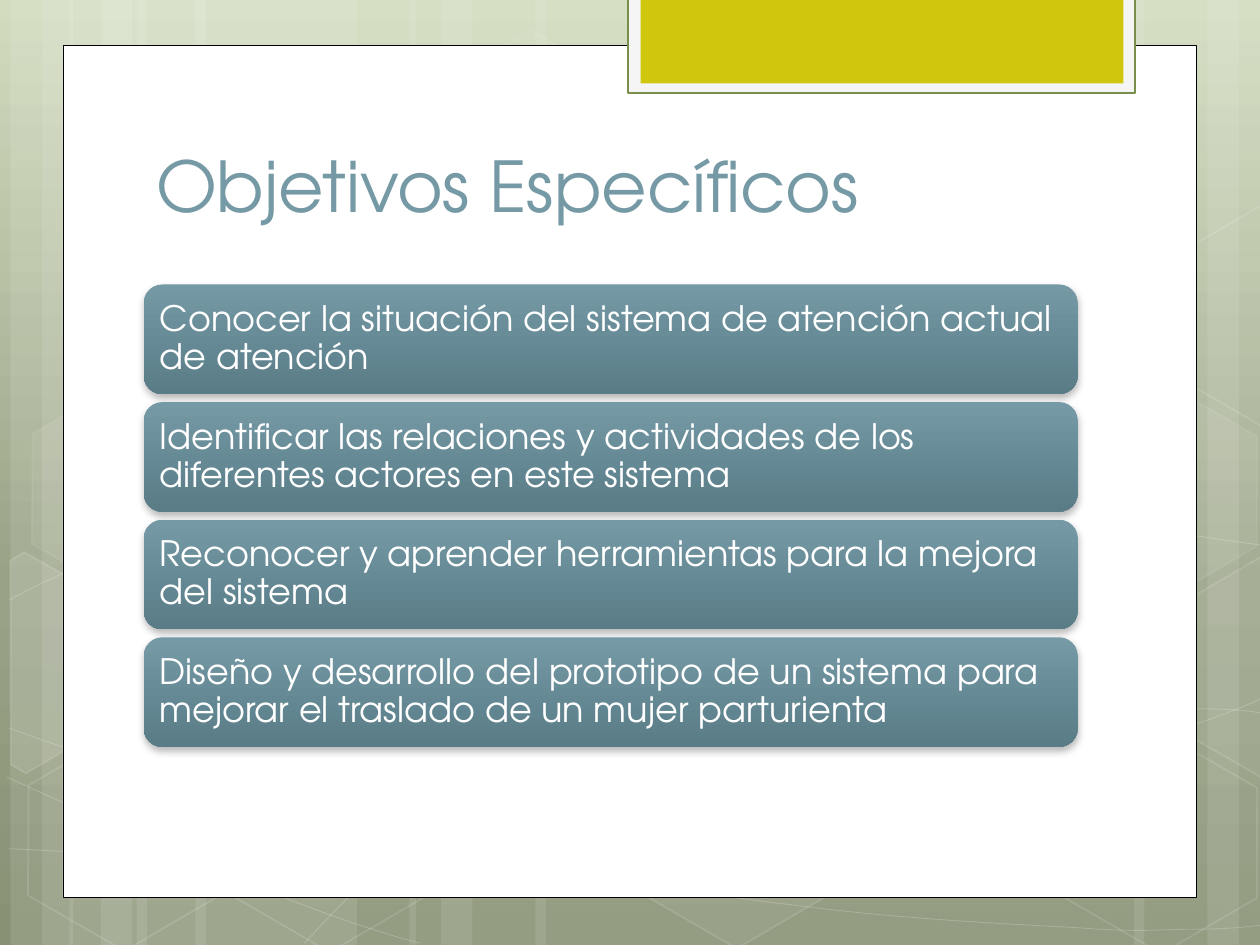
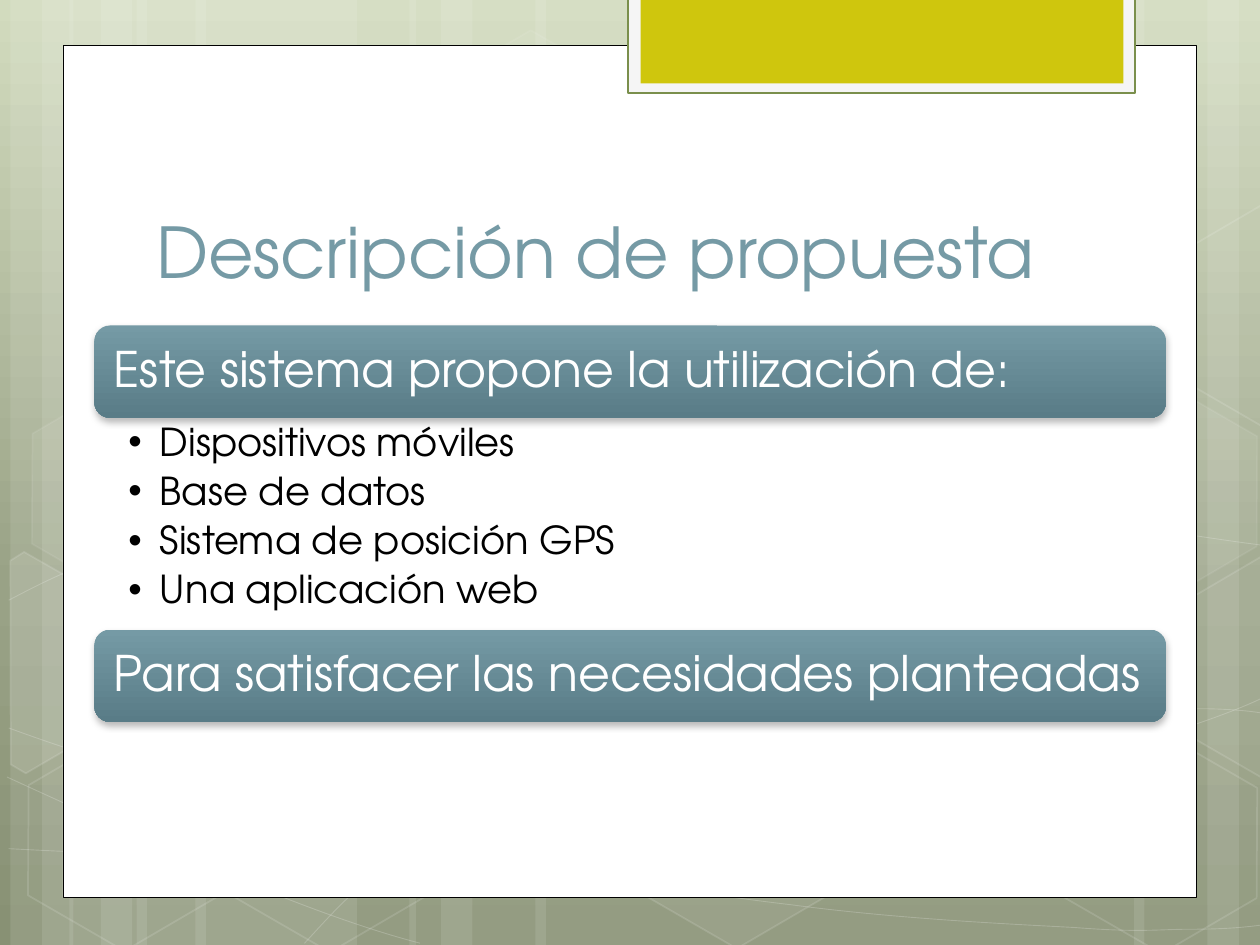
"""Build two slides on objectives and proposal over a shared green backdrop."""
from copy import deepcopy
from math import cos, radians, sin
from typing import NamedTuple

from lxml.etree import SubElement
from pptx import Presentation
from pptx.dml.color import RGBColor as Rgb
from pptx.enum.shapes import MSO_SHAPE as Kind
from pptx.enum.text import MSO_ANCHOR as Anchor
from pptx.enum.text import MSO_AUTO_SIZE as Fit
from pptx.enum.text import PP_ALIGN as Align
from pptx.oxml.ns import qn
from pptx.util import Pt

FONT = "TeX Gyre Adventor"
TILT = 30
HUES = {
    "white": "FFFFFF", "black": "000000", "teal": "759AA5", "deep": "597C87",
    "pale": "D2DBBE", "sage": "99A286", "moss": "889174",
    "frame": "F5F5F5", "edge": "7A8F4C", "lime": "CFC60D",
}


class Box(NamedTuple):
    left: float
    top: float
    width: float
    height: float


class Look(NamedTuple):
    fill: str = ""
    line: str = ""
    weight: float = 1
    fill_alpha: int = 100
    line_alpha: int = 100


class Hex(NamedTuple):
    left: float
    top: float
    fill: int
    line: int


class Cut(NamedTuple):
    box: Box
    points: list
    fill: int


class Bar(NamedTuple):
    box: Box
    text: str
    size: float


class Panel(NamedTuple):
    box: Box
    look: Look


BANDS = [
    (78, 126), (6, 36), (24, 60), (111.6, 126), (39.6, 36), (57.6, 60),
    (528, 126), (690, 36), (648, 60), (306, 222), (234, 36), (252, 60),
]
CURVES = [
    [(5, 485), (44, 487), (83, 489), (137, 488), (191, 487), (258, 486), (330, 479),
     (402, 472), (504, 458), (570, 444), (636, 431), (703, 409), (725, 397)],
    [(5, 343), (26, 332), (47, 321), (87, 310), (128, 300), (186, 284), (250, 279),
     (314, 274), (392, 273), (471, 279), (550, 284), (682, 307), (725, 312)],
    [(4, 444), (91, 484), (178, 523), (240, 539)],
    [(5, 416), (27, 424), (50, 432), (92, 444), (134, 454), (197, 472), (257, 485),
     (317, 497), (392, 510), (452, 517), (512, 525), (576, 528), (614, 530),
     (652, 533), (662, 531), (680, 531), (699, 531), (712, 530), (725, 528)],
    [(174, 539), (187, 525), (200, 510), (217, 498), (235, 485), (259, 470), (279, 460),
     (300, 450), (312, 446), (338, 438), (364, 431), (413, 421), (438, 416),
     (464, 411), (467, 411), (490, 410), (511, 408), (547, 405), (572, 405),
     (597, 404), (638, 405), (638, 405), (654, 405), (670, 405), (686, 405),
     (699, 405), (711, 406), (718, 407), (724, 408), (722, 407), (724, 408)],
]
HEXES = [
    Hex(240.5, 25.9, 4, 8), Hex(357.8, 424.1, 6, 12), Hex(7.9, 425.5, 0, 12),
    Hex(10.1, 224.6, 7, 8), Hex(125.3, 426.2, 0, 12), Hex(542.2, 326.2, 10, 12),
    Hex(600.5, 427, 0, 12), Hex(600.5, 226.1, 7, 8),
]
CUTS = [
    Cut(Box(-23.8, 330.5, 99.4, 109.4),
        [(5.8, 320.4), (13.7, 315.4), (69.1, 347), (68.4, 410.4), (14.4, 442.1), (5.8, 437)], 10),
    Cut(Box(660.2, 319.7, 97.9, 109.4),
        [(666.7, 349.2), (720.7, 317.5), (726.5, 321.1), (726.5, 441.4), (721.4, 444.2),
         (666.7, 412.6)], 4),
    Cut(Box(660.2, 118.8, 97.9, 109.4),
        [(666.7, 149), (720.7, 117.4), (727.2, 121), (726.5, 241.2), (721.4, 244.1),
         (666.7, 212.4)], 0),
]
PANELS = [
    Panel(Box(36, 26, 648, 487), Look("white", "black", 0.5)),
    Panel(Box(359, -1.4, 289.6, 54.7), Look("frame", "edge", 1.25)),
    Panel(Box(366, -1.4, 276, 49), Look("lime")),
]
GOALS = [
    "Conocer la situación del sistema de atención actual de atención",
    "Identificar las relaciones y actividades de los diferentes actores en este sistema",
    "Reconocer y aprender herramientas para la mejora del sistema",
    "Diseño y desarrollo del prototipo de un sistema para mejorar el traslado "
    "de un mujer parturienta",
]
TOOLS = ["Dispositivos móviles", "Base de datos", "Sistema de posición GPS", "Una aplicación web"]


def hue(name: str) -> Rgb:
    """Return a named colour."""
    return Rgb.from_string(HUES[name])


def fade(part, alpha: int) -> None:
    """Set the opacity of a solid fill in percent."""
    color = part.find(f"{qn('a:solidFill')}/{qn('a:srgbClr')}")
    SubElement(color, qn("a:alpha"), val=str(alpha * 1000))


def dress(shape, look: Look) -> None:
    """Give a shape its fill and line without a shadow."""
    shape.shadow.inherit = False
    props = shape.element.spPr
    if look.fill and look.fill_alpha:
        shape.fill.solid()
        shape.fill.fore_color.rgb = hue(look.fill)
        if look.fill_alpha < 100:
            fade(props, look.fill_alpha)
    else:
        shape.fill.background()
    if look.line:
        shape.line.color.rgb = hue(look.line)
        shape.line.width = Pt(look.weight)
        if look.line_alpha < 100:
            fade(props.find(qn("a:ln")), look.line_alpha)
    else:
        shape.line.fill.background()


def grade(fill, root, stops: list) -> None:
    """Apply a downward gradient of (position, colour) stops."""
    fill.gradient()
    fill.gradient_angle = 270
    rows = next(root.iter(qn("a:gsLst")))
    while len(rows) < len(stops):
        rows.append(deepcopy(rows[-1]))
    for stop, (spot, name) in zip(fill.gradient_stops, stops):
        stop.position = spot
        stop.color.rgb = hue(name)


def put(frame, lines: list, *, size: float, color: str, anchor=Anchor.MIDDLE,
        inset=(7.2, 3.6, 7.2, 3.6), after: float = 0, spacing: float = 1,
        hang: float = 0) -> None:
    """Write formatted paragraphs into a text frame."""
    frame.word_wrap = True
    frame.auto_size = Fit.NONE
    frame.vertical_anchor = anchor
    (frame.margin_left, frame.margin_top,
     frame.margin_right, frame.margin_bottom) = map(Pt, inset)
    for index, line in enumerate(lines):
        para = frame.paragraphs[0] if index == 0 else frame.add_paragraph()
        para.alignment = Align.LEFT
        para.line_spacing = spacing
        para.space_before, para.space_after = Pt(0), Pt(size * after)
        if hang:
            props = para._p.get_or_add_pPr()
            props.set("marL", str(Pt(hang)))
            props.set("indent", str(Pt(-hang)))
            SubElement(props, qn("a:buChar"), char="•")
        run = para.add_run()
        run.text = line
        run.font.name, run.font.size = FONT, Pt(size)
        run.font.color.rgb = hue(color)


def place(shape, box: Box) -> None:
    """Move and size a shape."""
    shape.left, shape.top, shape.width, shape.height = map(Pt, box)


def block(slide, kind, box: Box, look: Look):
    """Add a preset shape."""
    shape = slide.shapes.add_shape(kind, *map(Pt, box))
    dress(shape, look)
    return shape


def trace(slide, points: list, look: Look, close: bool = False):
    """Add an outline through the points."""
    first, *rest = [(Pt(x), Pt(y)) for x, y in points]
    pen = slide.shapes.build_freeform(*first)
    pen.add_line_segments(rest, close=close)
    shape = pen.convert_to_shape()
    dress(shape, look)
    return shape


def bend(shape) -> None:
    """Turn each three segments of an outline into one cubic curve."""
    outline = next(shape.element.iter(qn("a:path")))
    legs = outline.findall(qn("a:lnTo"))
    for start in range(0, len(legs), 3):
        curve = SubElement(outline, qn("a:cubicBezTo"))
        for leg in legs[start:start + 3]:
            curve.append(leg[0])
            outline.remove(leg)


def level(cut: Cut) -> list:
    """Turn the points of a cut cell back to its upright frame."""
    x0, y0 = cut.box.left + cut.box.width / 2, cut.box.top + cut.box.height / 2
    c, s = cos(radians(TILT)), sin(radians(TILT))
    return [(x0 + (x - x0) * c + (y - y0) * s, y0 + (y - y0) * c - (x - x0) * s)
            for x, y in cut.points]


def scene(slide, master) -> None:
    """Draw the backdrop and hand it to the slide master."""
    grade(master.background.fill, master.element,
          [(0, "pale"), (0.62, "sage"), (1, "moss")])
    for left, width in BANDS:
        block(slide, Kind.RECTANGLE, Box(left, 0, width, 540), Look("white", fill_alpha=10))
    for nodes in CURVES:
        bend(trace(slide, nodes, Look(line="white", weight=0.5, line_alpha=20)))
    for cell in HEXES:
        look = Look("white", "white", 1, cell.fill, cell.line)
        shape = block(slide, Kind.HEXAGON, Box(cell.left, cell.top, 126, 109.4), look)
        shape.adjustments[0] = 0.285
        shape.rotation = TILT
    for cut in CUTS:
        shape = trace(slide, level(cut), Look("white", "white", 1, cut.fill, 12), True)
        place(shape, cut.box)
        shape.rotation = TILT
    for panel in PANELS:
        block(slide, Kind.RECTANGLE, panel.box, panel.look)
    decor = [shape for shape in slide.shapes if not shape.is_placeholder]
    for index, shape in enumerate(decor):
        shape.element.nvSpPr.cNvPr.set("id", str(100 + index))
        master.shapes.element.insert(2 + index, shape.element)


def head(slide, text: str, top: float) -> None:
    """Fill the title placeholder."""
    title = slide.shapes.title
    place(title, Box(82, top, 553, 90))
    put(title.text_frame, [text], size=40, color="teal", anchor=Anchor.BOTTOM)


def draw(slide, bar: Bar) -> None:
    """Add a rounded teal bar with its text and soft shadow."""
    shape = block(slide, Kind.ROUNDED_RECTANGLE, bar.box, Look())
    grade(shape.fill, shape.element, [(0, "teal"), (1, "deep")])
    glow = SubElement(shape.element.spPr.find(qn("a:effectLst")), qn("a:outerShdw"),
                      blurRad=str(Pt(4)), dist=str(Pt(2)), dir="5400000", rotWithShape="0")
    tint = SubElement(glow, qn("a:srgbClr"), val=HUES["black"])
    SubElement(tint, qn("a:alpha"), val="28000")
    put(shape.text_frame, [bar.text], size=bar.size, color="white",
        inset=(bar.size * 0.3,) * 4, after=0.35, spacing=0.9)


def goals(slide) -> None:
    """Build the slide of objectives."""
    head(slide, "Objetivos Específicos", 43.2)
    for index, text in enumerate(GOALS):
        draw(slide, Bar(Box(82.2, 162.6 + 67.2 * index, 533.6, 62.6), text, 20))


def offer(slide) -> None:
    """Build the slide of the proposal."""
    head(slide, "Descripción de propuesta", 80.6)
    draw(slide, Bar(Box(54, 186, 612.2, 52.7), "Este sistema propone la utilización de:", 28))
    body = slide.placeholders[1]
    place(body, Box(54, 238.8, 612, 121))
    put(body.text_frame, TOOLS, size=22, color="black", anchor=Anchor.TOP,
        inset=(19.4, 2.8, 15.6, 2.8), after=0.2, spacing=0.9, hang=18)
    draw(slide, Bar(Box(54, 359.8, 612.2, 52.7), "Para satisfacer las necesidades planteadas", 28))


def main() -> None:
    """Create and save the presentation."""
    deck = Presentation()
    deck.slide_width, deck.slide_height = Pt(720), Pt(540)
    first = deck.slides.add_slide(deck.slide_layouts[5])
    scene(first, deck.slide_master)
    goals(first)
    offer(deck.slides.add_slide(deck.slide_layouts[1]))
    deck.save("out.pptx")


if __name__ == "__main__":
    main()
